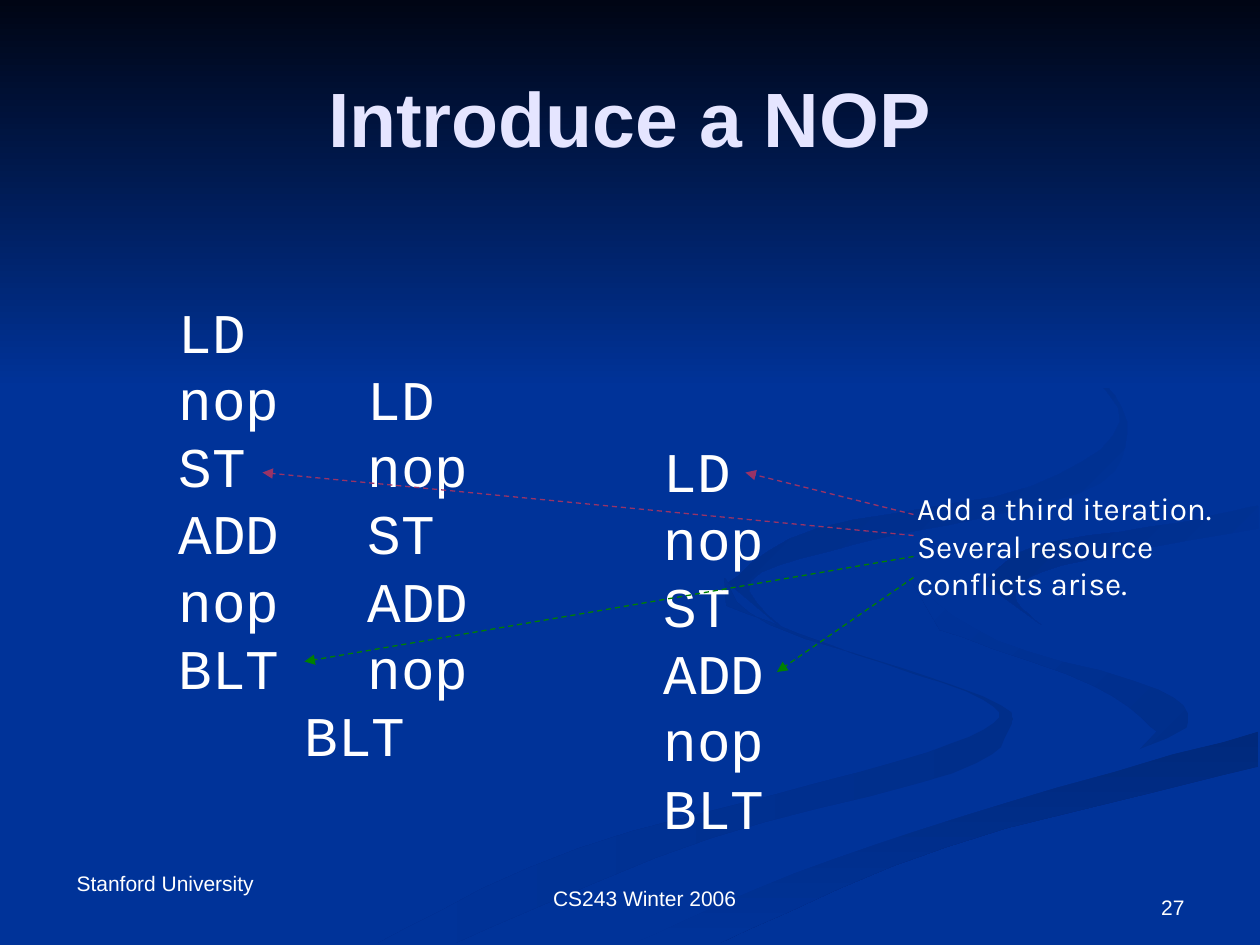
from typing import NamedTuple, Optional

from lxml.etree import SubElement as Sub
from pptx import Presentation
from pptx.dml.color import RGBColor as Rgb
from pptx.enum.dml import MSO_LINE as Dash
from pptx.enum.shapes import MSO_CONNECTOR as Conn
from pptx.enum.text import MSO_ANCHOR as Anchor
from pptx.enum.text import MSO_AUTO_SIZE as Auto
from pptx.enum.text import PP_ALIGN as Align
from pptx.oxml.ns import qn
from pptx.util import Pt

HUES = {
    "base": "003399", "night": "000514",
    "dim": "002E8A", "deep": "00297C", "shade": "002C85", "dusk": "002B81",
    "title": "E5E5FF", "white": "FFFFFF",
    "plum": "993366", "green": "008000",
}
WIDE, HIGH = 720, 540
STEPS = 5


class Wave(NamedTuple):
    """A backdrop outline made of curved edges; angle runs clockwise."""
    edges: list
    start: str
    end: Optional[str] = None
    angle: int = 0


class Label(NamedTuple):
    box: tuple
    lines: list
    size: float
    font: str = "Arial"
    hue: str = "white"
    bold: bool = False
    align: Align = Align.LEFT
    anchor: Anchor = Anchor.TOP
    wrap: bool = False
    grow: bool = True


class Arrow(NamedTuple):
    start: tuple
    end: tuple
    hue: str


def rgb(name: str) -> Rgb:
    return Rgb.from_string(HUES[name])


def curve(edge: list) -> list:
    """Run a smooth Catmull-Rom line through the points of an edge."""
    if len(edge) < 3:
        return edge
    ends = [edge[0], *edge, edge[-1]]
    out = []
    for quad in zip(ends, ends[1:], ends[2:], ends[3:]):
        for step in range(STEPS):
            t = step / STEPS
            out.append(tuple(
                b + t * (c - a + t * (2 * a - 5 * b + 4 * c - d
                                      + t * (3 * (b - c) + d - a))) / 2
                for a, b, c, d in zip(*quad)))
    return out + [edge[-1]]


def draw_wave(slide, wave: Wave) -> None:
    pts = [pt for edge in wave.edges for pt in curve(edge)]
    path = slide.shapes.build_freeform(*pts[0], scale=Pt(1))
    path.add_line_segments(pts[1:], close=True)
    shape = path.convert_to_shape()
    shape.shadow.inherit = False
    shape.line.fill.background()
    fill = shape.fill
    if wave.end is None:
        fill.solid()
        fill.fore_color.rgb = rgb(wave.start)
        return
    fill.gradient()
    fill.gradient_angle = 360 - wave.angle
    for stop, hue in zip(fill.gradient_stops, (wave.start, wave.end)):
        stop.color.rgb = rgb(hue)


def draw_label(slide, label: Label) -> None:
    frame = slide.shapes.add_textbox(*map(Pt, label.box)).text_frame
    frame.word_wrap = label.wrap
    frame.auto_size = Auto.SHAPE_TO_FIT_TEXT if label.grow else Auto.NONE
    frame.vertical_anchor = label.anchor
    for i, line in enumerate(label.lines):
        para = frame.add_paragraph() if i else frame.paragraphs[0]
        para.alignment = label.align
        run = para.add_run()
        run.text = line
        font = run.font
        font.name, font.size, font.bold = label.font, Pt(label.size), label.bold
        font.color.rgb = rgb(label.hue)


def draw_arrow(slide, arrow: Arrow) -> None:
    link = slide.shapes.add_connector(
        Conn.STRAIGHT, *map(Pt, arrow.start + arrow.end))
    line = link.line
    line.color.rgb = rgb(arrow.hue)
    line.width = Pt(0.75)
    line.dash_style = Dash.DASH
    Sub(line._get_or_add_ln(), qn("a:tailEnd"), type="triangle")
    Sub(link._element.spPr, qn("a:effectLst"))


# Edges that neighbouring waves share
RIDGE = [(362, 539), (454, 499), (574, 459), (719, 418)]
CREST = [(562, 333), (592, 312), (672, 299), (719, 289)]
BEND = [(522, 334), (570, 366), (662, 394), (678, 416)]

# Backdrop, from back to front
WAVES = [
    Wave([[(414, 330), (440, 357), (562, 398), (576, 418), (544, 442),
           (406, 479), (260, 539)],
          [(216, 539), (330, 485), (492, 441), (562, 417), (562, 400),
           (489, 374), (415, 346)]],
         "dim", "base", 180),
    Wave([BEND + [(644, 436)], [(661, 418), (625, 392), (537, 360)]],
         "dim", "base", 225),
    Wave([RIDGE, [(719, 438), (541, 484), (411, 539)]], "deep", "base", 90),
    Wave([RIDGE, [(719, 387), (611, 362), (562, 333)], CREST,
          [(719, 279), (567, 304), (522, 334)],
          BEND + [(585, 450), (477, 481), (343, 539)]],
         "base"),
    Wave([CREST, [(719, 302), (607, 323), (580, 340), (595, 357)]],
         "base", "shade", 225),
    Wave([[(549, 168), (622, 210), (644, 248), (616, 282), (492, 310),
           (429, 332), (448, 360)],
          [(416, 333), (467, 302), (589, 278), (640, 241), (609, 201)]],
         "base", "dusk", 225),
    Wave([[(0, 0), (0, 222)], [(WIDE, 222), (WIDE, 0)]], "night", "base", 90),
]

# Each iteration starts one row after the one before
OPS = ["LD", "nop", "ST", "ADD", "nop", "BLT"]
PAIR = [OPS[0]] + [f"{a}\t\t{b}" for a, b in zip(OPS[1:] + [""], OPS)]
NOTE = ["Add a third iteration.", "Several resource", "conflicts arise."]
MONO = "Courier New"

LABELS = [
    Label((309, 502.5, 119, 21.6), ["CS243 Winter 2006"], 12),
    Label((36.7, 494, 135.4, 21.6), ["Stanford University"], 12, wrap=True),
    Label((36, 21.6, 648, 90), ["Introduce a NOP"], 44, hue="title", bold=True,
          align=Align.CENTER, anchor=Anchor.MIDDLE, wrap=True, grow=False),
    Label((95, 166.3, 216, 276.5), PAIR, 32, MONO),
    Label((372.2, 246.2, 72, 237.6), OPS, 32, MONO),
    Label((517, 275.8, 189.4, 72), NOTE, 18, "Karla"),
    Label((516.2, 491.8, 167.8, 37.4), ["27"], 12, align=Align.RIGHT,
          anchor=Anchor.BOTTOM, wrap=True, grow=False),
]

# Conflicts the third iteration brings
ARROWS = [
    Arrow((522, 294), (426, 270), "plum"),
    Arrow((522, 306), (150, 270), "plum"),
    Arrow((522, 330), (444, 384), "green"),
    Arrow((522, 318), (174, 378), "green"),
]


def main() -> None:
    deck = Presentation()
    deck.slide_width, deck.slide_height = Pt(WIDE), Pt(HIGH)
    slide = deck.slides.add_slide(deck.slide_layouts[6])
    back = slide.background.fill
    back.solid()
    back.fore_color.rgb = rgb("base")
    for draw, parts in ((draw_wave, WAVES), (draw_label, LABELS),
                        (draw_arrow, ARROWS)):
        for part in parts:
            draw(slide, part)
    deck.save("out.pptx")


if __name__ == "__main__":
    main()
